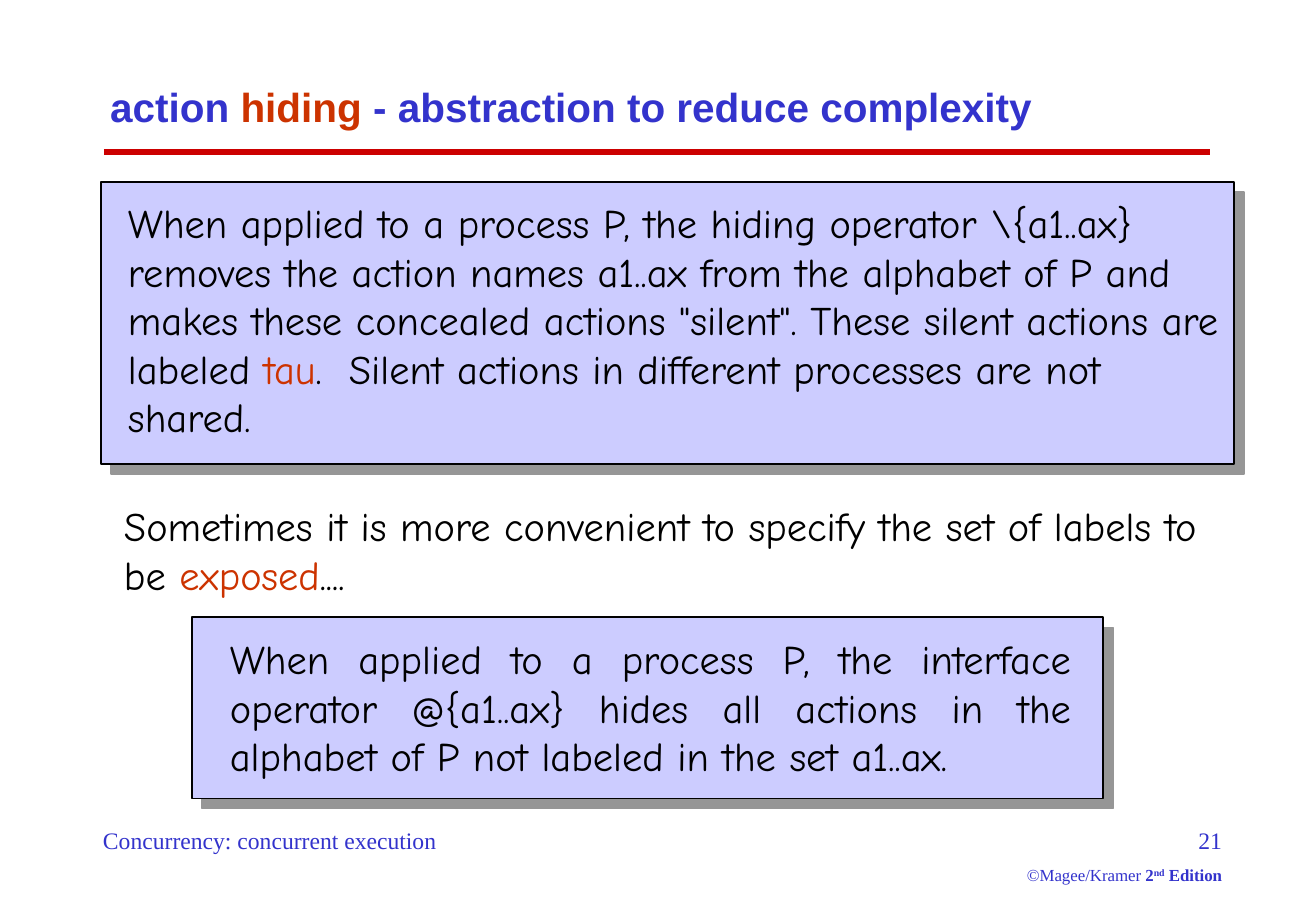
from dataclasses import dataclass

from lxml import etree
from pptx import Presentation
from pptx.dml.color import RGBColor
from pptx.enum.shapes import MSO_CONNECTOR, MSO_SHAPE
from pptx.enum.text import MSO_ANCHOR, MSO_AUTO_SIZE, PP_ALIGN
from pptx.oxml.ns import qn
from pptx.util import Emu, Inches, Pt


@dataclass(frozen=True)
class Theme:
    blue: str = "3333CC"
    accent: str = "CC3300"
    rule: str = "CC0000"
    ink: str = "000000"
    panel: str = "CCCCFF"
    shadow: str = "969696"
    heading_font: str = "Arial"
    body_font: str = "Comic Neue"
    footer_font: str = "Times New Roman"
    text_size: int = 24
    footer_size: int = 14
    credit_size: int = 10


THEME = Theme()
PX_PER_INCH = 121.4
PANEL_INDENT = 76

HEADING = {"name": THEME.heading_font, "size": THEME.text_size, "color": THEME.blue, "bold": True}
BODY = {"name": THEME.body_font, "size": THEME.text_size, "color": THEME.ink}
FOOTER = {"name": THEME.footer_font, "size": THEME.footer_size, "color": THEME.blue}
CREDIT = FOOTER | {"size": THEME.credit_size}
EDITION = CREDIT | {"bold": True}
HIGHLIGHT = {"color": THEME.accent}


def px(length):
    return Emu(round(length * Inches(1) / PX_PER_INCH))


def box(*lengths):
    return [px(length) for length in lengths]


def write(paragraph, base, runs, **paragraph_format):
    """Add (text, overrides) runs, each formatted as base plus its overrides."""
    for attribute, value in paragraph_format.items():
        setattr(paragraph, attribute, value)
    for text, overrides in runs:
        run = paragraph.add_run()
        run.text = text
        for attribute, value in (base | overrides).items():
            if attribute == "color":
                run.font.color.rgb = RGBColor.from_string(value)
            elif attribute == "baseline":
                run._r.get_or_add_rPr().set("baseline", str(value))
            else:
                setattr(run.font, attribute, Pt(value) if attribute == "size" else value)


def add_text(shapes, bounds, base, runs, indent=0, **paragraph_format):
    frame = shapes.add_textbox(*box(*bounds)).text_frame
    frame.word_wrap = True
    paragraph = frame.paragraphs[0]
    if indent:
        paragraph._p.get_or_add_pPr().set("marL", str(px(indent)))
    write(paragraph, base, runs, **paragraph_format)
    return frame


def add_panel(shapes, bounds):
    """Add an outlined rectangle with a hard shadow to the lower right."""
    panel = shapes.add_shape(MSO_SHAPE.RECTANGLE, *box(*bounds))
    panel.fill.solid()
    panel.fill.fore_color.rgb = RGBColor.from_string(THEME.panel)
    panel.line.color.rgb = RGBColor.from_string(THEME.ink)
    panel.line.width = Pt(1)
    panel.shadow.inherit = False
    effects = panel._element.spPr.find(qn("a:effectLst"))
    shadow = etree.SubElement(effects, qn("a:outerShdw"), dist=str(Pt(8.5)), dir="2700000",
                              algn="ctr", rotWithShape="0")
    etree.SubElement(shadow, qn("a:srgbClr"), val=THEME.shadow)


def add_rule(shapes, left, right, y):
    rule = shapes.add_connector(MSO_CONNECTOR.STRAIGHT, *box(left, y, right, y))
    rule.line.color.rgb = RGBColor.from_string(THEME.rule)
    rule.line.width = Pt(4)
    etree.SubElement(rule._element.spPr, qn("a:effectLst"))


def set_title(title, bounds, runs):
    for attribute, value in zip(("left", "top", "width", "height"), box(*bounds)):
        setattr(title, attribute, value)
    frame = title.text_frame
    for attribute, value in {"word_wrap": True, "auto_size": MSO_AUTO_SIZE.NONE,
                             "vertical_anchor": MSO_ANCHOR.MIDDLE}.items():
        setattr(frame, attribute, value)
    write(frame.paragraphs[0], HEADING, runs, alignment=PP_ALIGN.LEFT)


def add_footer(shapes):
    add_text(shapes, (91, 819, 415, 41), FOOTER, [("Concurrency: concurrent execution", {})])
    page = add_text(shapes, (1002, 819, 232, 72), FOOTER, [("21", {})], alignment=PP_ALIGN.RIGHT)
    write(page.add_paragraph(), EDITION,
          [("©Magee/Kramer ", {"bold": False}), ("2", {}), ("nd", {"baseline": 30000}),
           (" Edition", {})],
          alignment=PP_ALIGN.RIGHT, space_before=Pt(6.2))


def main():
    presentation = Presentation()
    presentation.slide_width, presentation.slide_height = Inches(10.84), Inches(7.5)
    slide = presentation.slides.add_slide(presentation.slide_layouts[5])
    shapes = slide.shapes

    add_rule(shapes, 104, 1210, 152)
    add_footer(shapes)
    set_title(shapes.title, (98, 61, 1125, 91),
              [("action ", {}), ("hiding", HIGHLIGHT),
               (" - abstraction to reduce complexity", {})])

    hiding = shapes.add_group_shape().shapes
    add_panel(hiding, (101, 182, 1133, 282))
    add_text(hiding, (40, 192, 1204, 255), BODY,
             [("When applied to a process P, the hiding operator \\{a1..ax} removes the action "
               "names a1..ax from the alphabet of P and makes these concealed actions "
               '"silent". These silent actions are labeled ', {}),
              ("tau", HIGHLIGHT),
              (".  Silent actions in different processes are not shared.", {})],
             indent=PANEL_INDENT)

    add_panel(shapes, (192, 617, 911, 181))
    add_text(shapes, (142, 628, 941, 158), BODY,
             [("When applied to a process P, the interface operator @{a1..ax} hides all actions "
               "in the alphabet of P not labeled in the set a1..ax.", {})],
             indent=PANEL_INDENT, alignment=PP_ALIGN.JUSTIFY)

    add_text(shapes, (112, 495, 1144, 109), BODY,
             [("Sometimes it is more convenient to specify the set of labels to be ", {}),
              ("exposed", HIGHLIGHT), ("....", {})])

    presentation.save("out.pptx")


if __name__ == "__main__":
    main()
